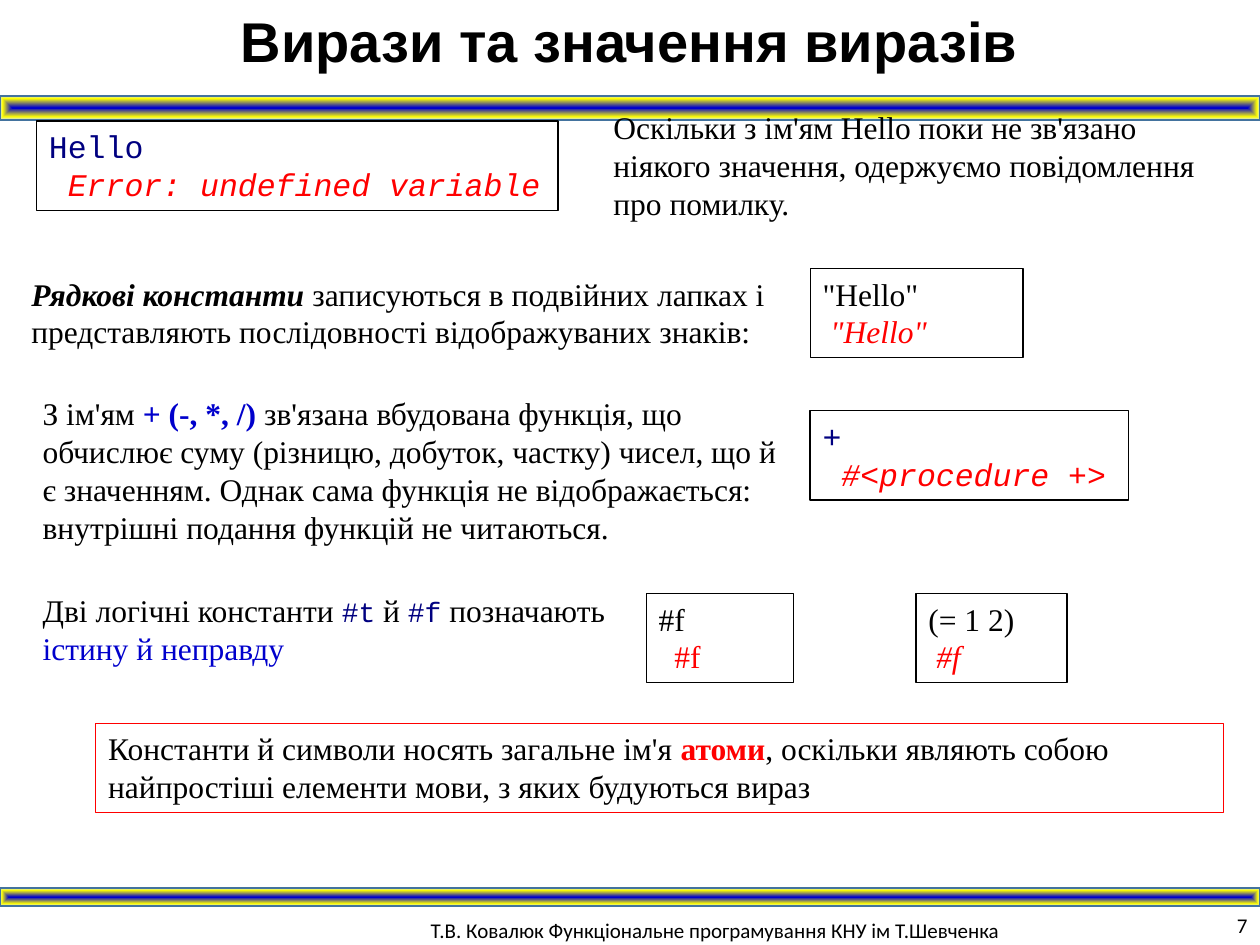
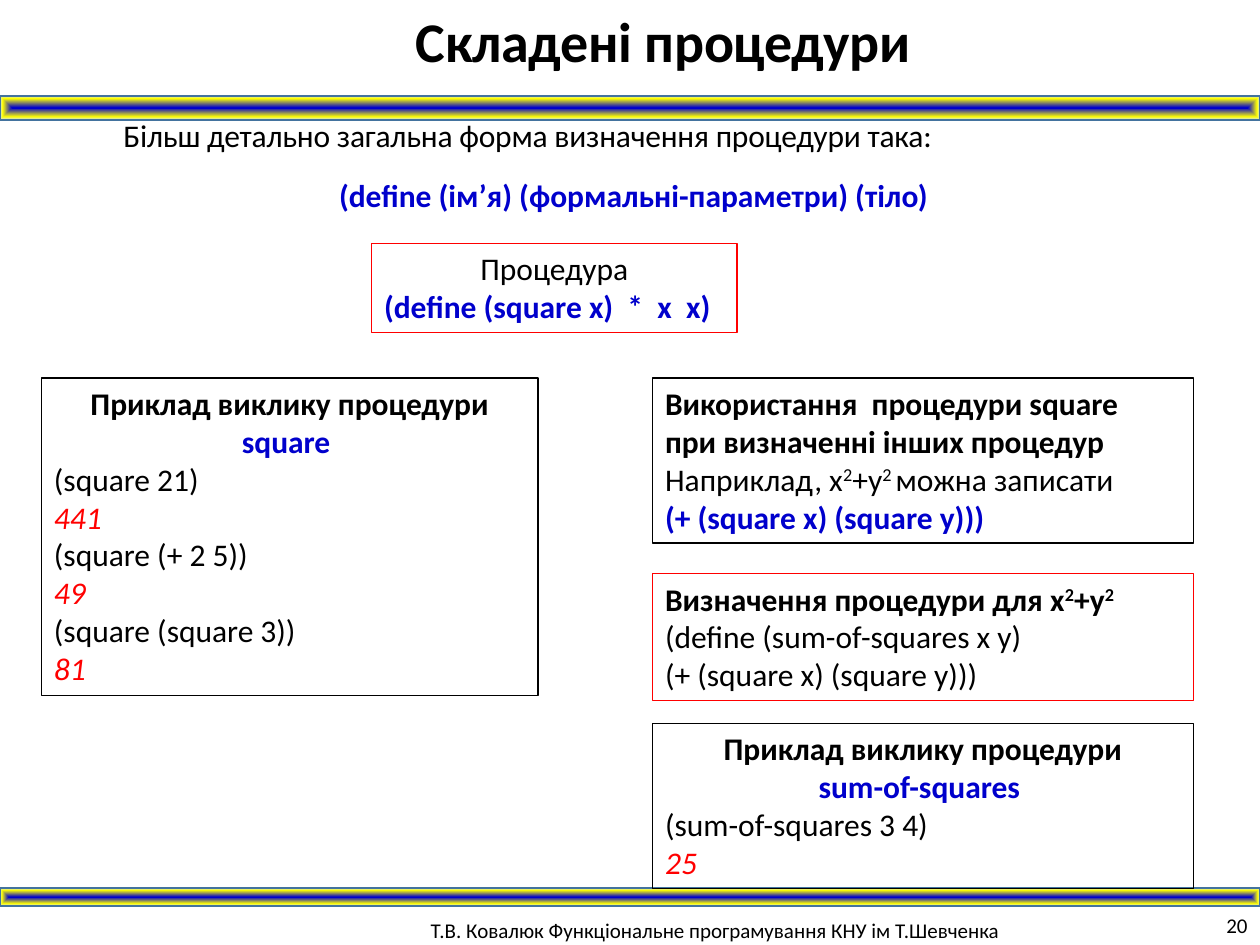
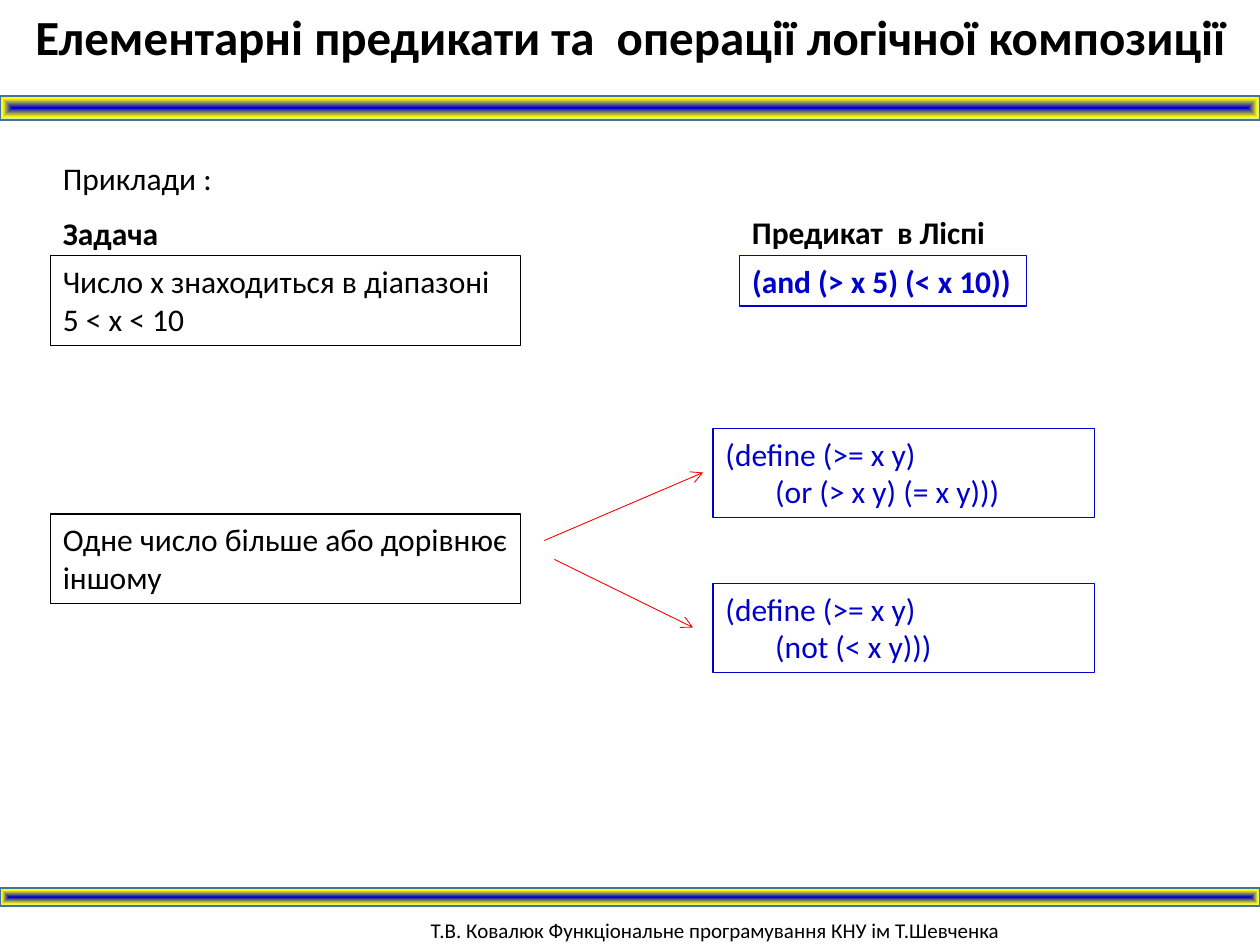
from dataclasses import dataclass

from pptx import Presentation
from pptx import util as u
from pptx.dml.color import RGBColor
from pptx.enum import shapes, text
from pptx.oxml import parse_xml
from pptx.oxml.ns import nsdecls, qn

BLACK, RED, BLUE, NAVY = "000000", "FF0000", "0000CC", "000080"
BAND_STOPS = [(0, BLUE), (77, "FFFF00"), (100, "CEE1F2")]
BAND_LINE = "43739E"
SANS, SERIF, MONO, HEADING = "Calibri", "Times New Roman", "Courier New", "Arial"
LEFT, CENTER, RIGHT = text.PP_ALIGN.LEFT, text.PP_ALIGN.CENTER, text.PP_ALIGN.RIGHT
COLUMNS, ROWS = 100, 75
FOOTER = "Т.В. Ковалюк Функціональне програмування КНУ ім Т.Шевченка"


def rgb(color):
    return RGBColor.from_string(color)


@dataclass
class Run:
    text: str
    color: str = BLACK
    bold: bool = False
    italic: bool = False
    font: str = ""
    size: float = 0
    raised: bool = False
    spacing: float = 0


@dataclass
class Para:
    runs: list
    align: object = LEFT
    before: float = 0
    left: float = 0
    first: float = 0


def strong(words, color=BLACK):
    return Run(words, color, bold=True)


def result(words):
    return Run(words, RED, italic=True)


def line(*runs, **options):
    return Para([Run(r) if isinstance(r, str) else r for r in runs], **options)


class Deck:
    def __init__(self):
        self.prs = Presentation()
        self.prs.slide_width, self.prs.slide_height = u.Inches(10), u.Inches(7.5)
        self.slide = None
        self.font = SANS
        self.size = 18

    def at(self, column, row):
        return (round(self.prs.slide_width * column / COLUMNS),
                round(self.prs.slide_height * row / ROWS))

    def area(self, column, row, width, height):
        return *self.at(column, row), *self.at(width, height)

    def start(self, title, place, number=None, font=SANS):
        self.font = font
        self.slide = self.prs.slides.add_slide(self.prs.slide_layouts[5])
        heading = self.slide.shapes.title
        heading.left, heading.top, heading.width, heading.height = self.area(*place)
        self.fill_text(heading, [title])
        self.band(7.6, 1.9)
        self.band(70.5, 1.4)
        self.label((33.2, 72.3, 60, 3.2), line(Run(FOOTER, font=SANS, size=12)))
        if number:
            self.label((93.1, 71.8, 6.9, 3.2),
                       line(Run(number, font=SANS, size=12), align=RIGHT),
                       anchor=text.MSO_ANCHOR.MIDDLE)

    def fill_text(self, shape, paras, wrap=True, anchor=text.MSO_ANCHOR.TOP):
        frame = shape.text_frame
        frame.word_wrap = wrap
        frame.auto_size = text.MSO_AUTO_SIZE.NONE
        frame.vertical_anchor = anchor
        for index, para in enumerate(paras):
            paragraph = frame.add_paragraph() if index else frame.paragraphs[0]
            paragraph.alignment = para.align
            if para.before:
                paragraph.space_before = u.Pt(para.before)
            if para.left or para.first:
                properties = paragraph._p.get_or_add_pPr()
                properties.set("marL", str(u.Inches(para.left)))
                properties.set("indent", str(u.Inches(para.first)))
            for run in para.runs:
                self.add_run(paragraph, run)

    def add_run(self, paragraph, run):
        for index, piece in enumerate(run.text.split("\n")):
            if index:
                paragraph.add_line_break()
            part = paragraph.add_run()
            part.text = piece
            font = part.font
            font.name = run.font or self.font
            font.size = u.Pt(run.size or self.size)
            font.bold, font.italic = run.bold, run.italic
            font.color.rgb = rgb(run.color)
            properties = part._r.get_or_add_rPr()
            if run.raised:
                properties.set("baseline", "30000")
            if run.spacing:
                properties.set("spc", str(round(run.spacing * 100)))

    def label(self, place, *paras, **options):
        self.fill_text(self.slide.shapes.add_textbox(*self.area(*place)), paras, **options)

    def rectangle(self, place, outline, weight):
        shape = self.slide.shapes.add_shape(
            shapes.MSO_SHAPE.RECTANGLE, *self.area(*place))
        shape.shadow.inherit = False
        shape.fill.background()
        shape.line.color.rgb = rgb(outline)
        shape.line.width = u.Pt(weight)
        return shape

    def box(self, place, *paras, outline=BLACK, **options):
        self.fill_text(self.rectangle(place, outline, 0.75), paras, **options)

    def band(self, row, height):
        properties = self.rectangle((0, row, COLUMNS, height), BAND_LINE, 1)._element.spPr
        stops = "".join(
            f'<a:gs pos="{pos * 1000}"><a:srgbClr val="{color}"/></a:gs>'
            for pos, color in BAND_STOPS)
        gradient = parse_xml(
            f'<a:gradFill {nsdecls("a")} rotWithShape="1"><a:gsLst>{stops}</a:gsLst>'
            '<a:path path="shape"><a:fillToRect l="50000" t="50000" r="50000" b="50000"/>'
            '</a:path></a:gradFill>')
        properties.replace(properties.find(qn("a:noFill")), gradient)

    def arrow(self, begin, end):
        connector = self.slide.shapes.add_connector(
            shapes.MSO_CONNECTOR.STRAIGHT, *self.at(*begin), *self.at(*end))
        connector.line.color.rgb = rgb(RED)
        connector.line.width = u.Pt(0.5)
        properties = connector._element.spPr
        properties.find(qn("a:ln")).append(
            parse_xml(f'<a:tailEnd {nsdecls("a")} type="arrow"/>'))
        properties.append(parse_xml(f'<a:effectLst {nsdecls("a")}/>'))


def expressions(deck):
    deck.start(line(Run("Вирази та значення виразів", bold=True, font=HEADING, size=32),
                    first=0.49),
               (13.2, 0, 69.1, 6.4), "7", SERIF)
    two_lines = 7.1
    deck.box((2.9, 9.6, 41.4, two_lines),
             line(Run("Hello\n ", NAVY, font=MONO),
                  Run("Error: undefined variable", RED, italic=True, font=MONO)))
    deck.label((47.7, 8.1, 50, 10.1),
               line("Оскільки з ім'ям Hello поки не зв'язано ніякого значення, "
                    "одержуємо повідомлення про помилку."))
    deck.label((1.5, 21.3, 60.7, two_lines),
               line(Run("Рядкові константи ", bold=True, italic=True),
                    "записуються в подвійних лапках і представляють послідовності "
                    "відображуваних знаків:"))
    deck.box((64.3, 21.3, 16.9, two_lines), line('"Hello"\n ', result('"Hello"')))
    deck.label((2.4, 30.8, 60.7, 13.1),
               line("З ім'ям ", strong("+ (-, *, /) ", BLUE),
                    "зв'язана вбудована функція, що обчислює суму (різницю, добуток, "
                    "частку) чисел, що й є значенням. Однак сама функція не "
                    "відображається: внутрішні подання функцій не читаються."))
    deck.box((64.3, 32.6, 25.3, two_lines),
             line(Run("+ \n ", NAVY, font=MONO),
                  Run("#<procedure +>", RED, italic=True, font=MONO)))
    deck.label((2.4, 46.4, 50, two_lines),
               line("Дві логічні константи ", Run("#t", NAVY, font=MONO, size=16), " й ",
                    Run("#f", NAVY, font=MONO, size=16), " позначають ",
                    Run("істину й неправду", BLUE)))
    deck.box((51.3, 47.1, 11.7, two_lines), line("#f\n  ", Run("#f", RED)))
    deck.box((72.7, 47.1, 12, two_lines), line("(= 1 2)\n ", result("#f")))
    deck.box((7.6, 57.4, 89.5, two_lines),
             line("Константи й символи носять загальне ім'я ", strong("атоми", RED),
                  ", оскільки являють собою найпростіші елементи мови, "
                  "з яких будуються вираз"),
             outline=RED)


def procedures(deck):
    deck.start(line(Run("Складені процедури", bold=True, size=32, spacing=-0.2)),
               (32, 0, 41.6, 6.4), "20")
    deck.label((5.9, 8.7, 88.8, 8.9),
               line(Run("Більш детально загальна форма визначення процедури така:",
                        spacing=-0.1), left=0.29),
               line(strong("(define (ім’я) (формальні-параметри) (тіло)", BLUE),
                    align=CENTER, before=12.6))
    deck.box((29.5, 19.3, 29, 7.1),
             line("Процедура", align=CENTER),
             line(strong("(define (square x)  *  x  x)", BLUE)),
             outline=RED, wrap=False)

    calls = [("(square 21)", "441"), ("(square (+ 2 5))", "49"),
             ("(square (square 3))", "81")]
    deck.box((3.3, 30, 39.4, 25.2),
             line(strong("Приклад виклику процедури "), strong("square ", BLUE),
                  align=CENTER),
             *[row for call, value in calls for row in (line(call), line(result(value)))])

    column, width = 51.8, 42.9
    sum_code = "(+ (square x) (square y)))"
    deck.box((column, 30, width, 13.1),
             line(strong("Використання  процедури square")),
             line(strong("при визначенні інших процедур")),
             line("Наприклад, x", Run("2", raised=True), "+y", Run("2 ", raised=True),
                  "можна записати"),
             line(strong(sum_code, BLUE)))
    square = Run("2", bold=True, raised=True)
    deck.box((column, 45.5, width, 10.1),
             line(strong("Визначення процедури для x"), square, strong("+y"), square),
             line("(define (sum-of-squares x y)"),
             line(sum_code),
             outline=RED)
    deck.box((column, 57.4, width, 13.1),
             line(strong("Приклад виклику процедури"), align=CENTER),
             line(strong("sum-of-squares ", BLUE), align=CENTER),
             line("(sum-of-squares 3 4)"),
             line(result("25")))


def predicates(deck):
    deck.start(line(Run("Елементарні предикати та  операції логічної композиції",
                        bold=True, size=28), align=CENTER),
               (0, 0, COLUMNS, 5.7))
    tasks, lisp, definitions = 4, 58.7, 56.6
    deck.label((tasks, 12.1, 14, 4), line("Приклади :"), wrap=False)
    deck.label((tasks, 16.5, 10.2, 4), line(strong("Задача")), wrap=False)
    deck.label((lisp, 16.4, 20.7, 4), line(strong("Предикат  в Ліспі")), wrap=False)
    for row, task in [(20.3, "Число x знаходиться в діапазоні  5 < x < 10"),
                      (40.8, "Одне число більше або дорівнює іншому")]:
        deck.box((tasks, row, 37.3, 7.1), line(task))
    deck.box((lisp, 20.3, 22.8, 4), line(strong("(and (> x 5) (< x 10))", BLUE)),
             outline=BLUE, wrap=False)
    for row, body in [(34, "       (or (> x y) (= x y)))"),
                      (46.3, "       (not (< x y)))")]:
        deck.box((definitions, row, 30.3, 7.1),
                 line(Run("(define (>= x y)", BLUE)), line(Run(body, BLUE)),
                 outline=BLUE)
    deck.arrow((43.2, 42.9), (55.8, 37.5))
    deck.arrow((44, 44.4), (55, 49.8))


def main():
    deck = Deck()
    expressions(deck)
    procedures(deck)
    predicates(deck)
    deck.prs.save("out.pptx")


if __name__ == "__main__":
    main()
